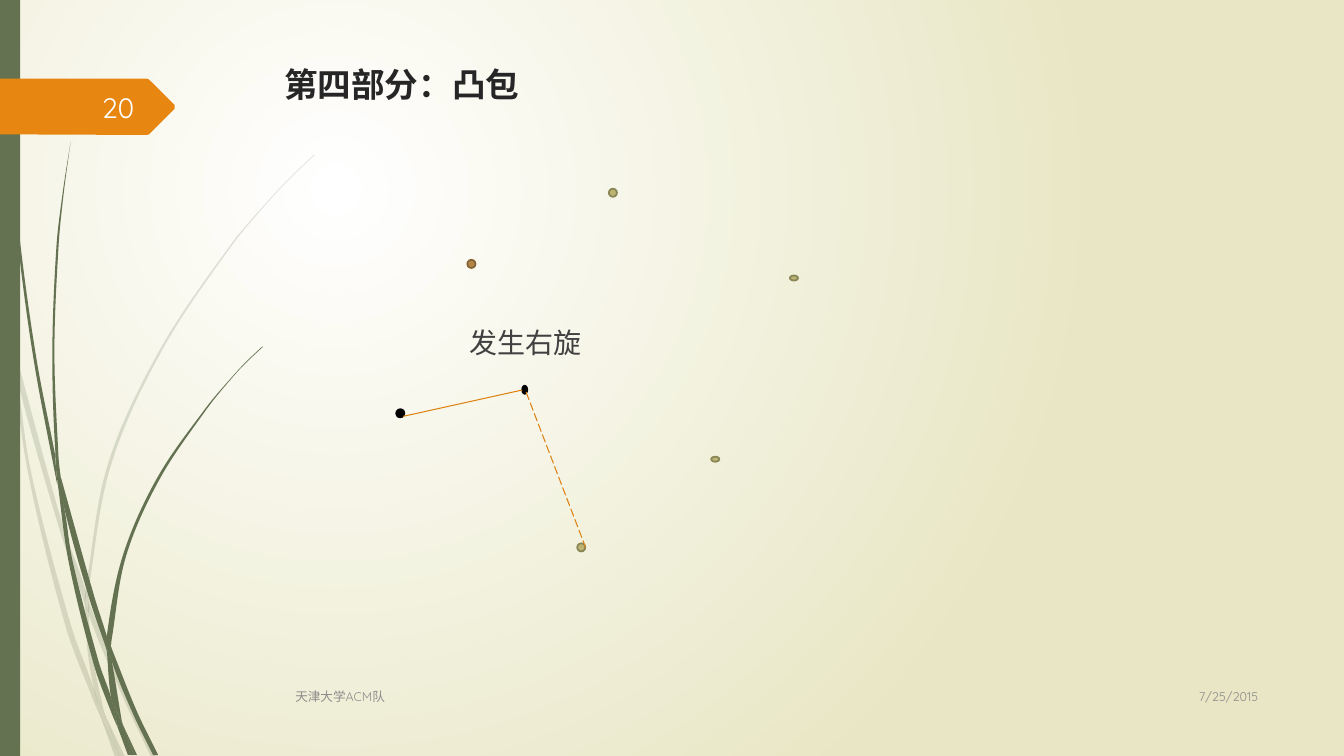
"""Build the convex hull slide that shows a right turn."""
from math import hypot
from pptx import Presentation
from pptx.dml.color import RGBColor
from pptx.enum import dml, shapes, text
from pptx.oxml import ns, parse_xml
from pptx.util import Pt

GREEN = RGBColor(0x64, 0x72, 0x52)
CREAM = RGBColor(0xE8, 0xE6, 0xC4)
WHITE = RGBColor(0xFF, 0xFF, 0xFF)
PALE = RGBColor(0xFE, 0xFF, 0xFF)
ORANGE = RGBColor(0xE7, 0x87, 0x12)
EDGE = RGBColor(0xDD, 0x81, 0x11)
BLACK = RGBColor(0, 0, 0)
OLIVE = RGBColor(0xBB, 0xB4, 0x73)
MOSS = RGBColor(0x8A, 0x85, 0x55)
BROWN = RGBColor(0xB3, 0x86, 0x48)
UMBER = RGBColor(0x84, 0x63, 0x35)
INK = RGBColor(0x26, 0x26, 0x26)
DARK = RGBColor(0x40, 0x40, 0x40)
GREY = RGBColor(0x8C, 0x8C, 0x8C)
FONT = "Quicksand"
WIDE, HIGH = 960, 540

LEFT, RIGHT = text.PP_ALIGN.LEFT, text.PP_ALIGN.RIGHT
TOP, MID = text.MSO_ANCHOR.TOP, text.MSO_ANCHOR.MIDDLE
TITLE = ("第四部分：凸包", (195.8, 42, 702, 56.2), dict(size=Pt(24), bold=True), INK)
NOTES = [
    ("发生右旋", (328.3, 229, 95, 31.7), 20, DARK, LEFT, TOP, False),
    ("7/25/2015", (815.8, 482.4, 90, 29.5), 9, GREY, RIGHT, MID, True),
    ("天津大学ACM队", (203.8, 483.1, 600, 28.8), 9, GREY, LEFT, MID, True),
    ("20", (41.8, 61.9, 61.2, 28.8), 20, PALE, RIGHT, MID, True),
]
FAINT = [
    (7.9, 252, 6.5, 231.8, 0, 203, 0, 215.3, 7.2, 247.7),
    (41.8, 375.8, 60.5, 431.3, 61.2, 421.9, 44.6, 374.4, 10.1, 248.4, 12.2, 270.7),
    (66.2, 437, 63.4, 429.1, 63.4, 439.2, 88.6, 499.7, 108, 540.7, 111.6, 540.7, 91.4, 498.2),
    (85.7, 540.7, 89.3, 540.7, 75.6, 511.9),
    (67, 491.8, 50.4, 445.7, 22.3, 337.7, 12.2, 270.7, 7.9, 252, 20.2, 338.4, 46.8, 447.1,
     66.2, 499, 72.7, 514.1, 71.3, 509),
    (60.5, 431.3, 62.6, 465.1, 67, 491.8, 69.1, 498.2, 75.6, 511.9, 74.2, 508.3, 65.5, 465.1,
     63.4, 439.2, 63.4, 437.8),
    (63.4, 420.5, 79.2, 332.6, 115.2, 251.3, 164.9, 176.4, 193, 142.6, 208.8, 126, 224.6, 110.9,
     224.6, 110.2, 208.1, 126, 193, 141.8, 164.2, 175.7, 113.8, 250.6, 77, 331.9, 61.2, 420.5,
     61.2, 421.9, 63.4, 429.1),
    (72.7, 514.1, 82.1, 540.7, 85.7, 540.7),
    (63.4, 437.8, 63.4, 439.2, 63.4, 429.1, 61.2, 421.9, 60.5, 431.3),
    (69.1, 498.2, 67, 491.8, 71.3, 509, 72.7, 514.1, 85.7, 540.7, 75.6, 511.9),
]
SOLID = [
    (5, 79.2, 12.2, 167.8, 23.8, 255.6, 40.3, 343.4, 41, 346.3, 39.6, 329, 39.6, 326.2,
     25.9, 255.6, 13.7, 167, 5.8, 78.5, 3.6, 34.6, 2.9, 0, 2.2, 0, 2.9, 34.6),
    (63.4, 426.2, 76.3, 464.4, 76.3, 455.8, 76.3, 454.3, 67, 424.8, 43.2, 339.8, 46.1, 363.6),
    (81.4, 467.3, 79.2, 461.5, 79.9, 472.3, 95, 509.8, 109.4, 539.3, 113, 539.3, 97.9, 508.3),
    (79.2, 497.5, 70.6, 473, 51.8, 400.3, 46.1, 363.6, 41, 343.4, 49, 401, 67, 474.5,
     79.9, 509.8, 84.2, 519.8, 83.5, 516.2),
    (43.2, 339.8, 41.8, 326.2, 38.9, 251.3, 41.8, 176.4, 45.4, 139, 50.4, 101.5, 44.6, 139,
     40.3, 176.4, 37.4, 251.3, 39.6, 323.3),
    (95.8, 539.3, 97.9, 539.3, 87.8, 517.7),
    (41, 343.4, 46.1, 363.6, 43.2, 339.8, 39.6, 323.3, 39.6, 326.2),
    (79.9, 455.8, 90, 397.4, 113.8, 342.7, 147.6, 292.3, 166.3, 269.3, 176.4, 258.5,
     187.9, 247.7, 187.2, 247.7, 176.4, 257.8, 166.3, 268.6, 146.9, 291.6, 112.3, 341.3,
     87.8, 396.7, 76.3, 454.3, 79.2, 461.5),
    (84.2, 519.8, 91.4, 539.3, 94.3, 539.3),
    (76.3, 464.4, 79.2, 497.5, 83.5, 508.3, 87.8, 517.7, 87.1, 515.5, 79.9, 472.3, 78.5, 468.7),
    (76.3, 464.4, 78.5, 468.7, 79.9, 472.3, 79.2, 461.5, 76.3, 454.3, 76.3, 455.8),
    (83.5, 508.3, 79.2, 497.5, 83.5, 516.2, 84.2, 519.8, 93.6, 539.3, 95.8, 539.3, 87.8, 517.7),
]
TAG = (124.8, 77.6, 106.5, 95.9, 105, 96.4, 97.9, 96.4, 0, 96, 0, 56.2,
       97.9, 56.2, 105, 56.2, 106.5, 56.9, 124.8, 75.1)
DOTS = [
    (283, 292.3, 5.8, 5.8, BLACK, BLACK),
    (373, 275.5, 3.6, 5.8, BLACK, BLACK),
    (412.3, 388.1, 5.8, 5.8, OLIVE, MOSS),
    (508, 326.2, 5.8, 3.6, OLIVE, MOSS),
    (564.2, 196.8, 5.8, 3.6, OLIVE, MOSS),
    (434.9, 134.8, 5.8, 5.8, OLIVE, MOSS),
    (333.8, 185.6, 5.8, 5.8, BROWN, UMBER),
]
EDGES = [
    ((288, 297.4, 373, 278.6), dml.MSO_LINE.SOLID),
    ((375.8, 280.1, 418.3, 391), dml.MSO_LINE.LONG_DASH),
]


def put(obj, vals):
    """Set each named value on an object."""
    for key, val in vals.items():
        setattr(obj, key, val)


def paint(shape, fill, line=None):
    """Give a shape its fill and outline."""
    shape.shadow.inherit = False
    shape.fill.solid()
    shape.fill.fore_color.rgb = fill
    if line is None:
        shape.line.fill.background()
    else:
        put(shape.line, dict(width=Pt(1.25)))
        shape.line.color.rgb = line


def trace(slide, flat, fill):
    """Draw a filled outline through points."""
    pts = [complex(Pt(x), Pt(y)) for x, y in zip(flat[::2], flat[1::2])]
    pairs = [(int(p.real), int(p.imag)) for p in pts]
    pen = slide.shapes.build_freeform(*pairs[0])
    pen.add_line_segments(pairs[1:] + pairs[:1], close=True)
    shape = pen.convert_to_shape()
    paint(shape, fill)
    return shape, pts


def slope(a, b, c):
    """Return the unit directions into and out of a point."""
    head, tail = (b - a) / abs(b - a), (c - b) / abs(c - b)
    if (head * tail.conjugate()).real < 0.8:
        return head, tail
    mean = (c - a) / hypot((c - a).real, (c - a).imag)
    return mean, mean


def blade(slide, flat):
    """Draw a piece of grass with curved sides."""
    shape, pts = trace(slide, flat, GREEN)
    base = complex(shape.left, shape.top)
    size = len(pts)
    dirs = [slope(pts[i - 1], p, pts[(i + 1) % size]) for i, p in enumerate(pts)]
    for i, line in enumerate(shape.element.xpath(".//a:lnTo")):
        j = (i + 1) % size
        grip = abs(pts[j] - pts[i]) / 3
        marks = (pts[i] + dirs[i][1] * grip, pts[j] - dirs[j][0] * grip, pts[j])
        spots = "".join(f'<a:pt x="{round(m.real)}" y="{round(m.imag)}"/>'
                        for m in (mark - base for mark in marks))
        line.getparent().replace(line, parse_xml(
            f'<a:cubicBezTo {ns.nsdecls("a")}>{spots}</a:cubicBezTo>'))
    return shape


def write(frame, words, font, ink, align, anchor, wrap=True):
    """Fill a text frame with one formatted line."""
    put(frame, dict(word_wrap=wrap, vertical_anchor=anchor))
    para = frame.paragraphs[0]
    para.alignment = align
    run = para.add_run()
    run.text = words
    put(run.font, dict(name=FONT, **font))
    run.font.color.rgb = ink


def main():
    """Lay out the slide and save it."""
    deck = Presentation()
    put(deck, dict(slide_width=Pt(WIDE), slide_height=Pt(HIGH)))
    slide = deck.slides.add_slide(deck.slide_layouts[5])
    add = slide.shapes
    fill = slide.background.fill
    fill.gradient()
    for stop, rgb, pos in zip(fill.gradient_stops, (WHITE, CREAM), (0, 1)):
        stop.color.rgb = rgb
        stop.position = pos
    lin = slide.element.xpath(".//p:bgPr/a:gradFill/a:lin")[0]
    lin.getparent().replace(lin, parse_xml(
        f'<a:path {ns.nsdecls("a")} path="circle"><a:fillToRect l="50000" '
        't="50000" r="100000" b="100000"/></a:path>'))

    for flat in FAINT:
        tint = blade(slide, flat).element.xpath("./p:spPr/a:solidFill/a:srgbClr")[0]
        tint.append(parse_xml(f'<a:alpha {ns.nsdecls("a")} val="20000"/>'))
    for flat in SOLID:
        blade(slide, flat)
    paint(add.add_shape(shapes.MSO_SHAPE.RECTANGLE, 0, 0, Pt(14.4), Pt(HIGH)), GREEN)
    trace(slide, TAG, ORANGE)

    for *box, tone, rim in DOTS:
        paint(add.add_shape(shapes.MSO_SHAPE.OVAL, *map(Pt, box)), tone, rim)
    for ends, dash in EDGES:
        edge = add.add_connector(shapes.MSO_CONNECTOR.STRAIGHT, *map(Pt, ends))
        put(edge.line, dict(width=Pt(0.75), dash_style=dash))
        edge.line.color.rgb = EDGE
        edge.element.spPr.append(parse_xml(f'<a:effectLst {ns.nsdecls("a")}/>'))

    words, box, font, ink = TITLE
    put(add.title, dict(zip(("left", "top", "width", "height"), map(Pt, box))))
    write(add.title.text_frame, words, font, ink, LEFT, TOP)
    for words, box, size, ink, *rest in NOTES:
        frame = add.add_textbox(*map(Pt, box)).text_frame
        write(frame, words, dict(size=Pt(size)), ink, *rest)
    deck.save("out.pptx")


if __name__ == "__main__":
    main()
